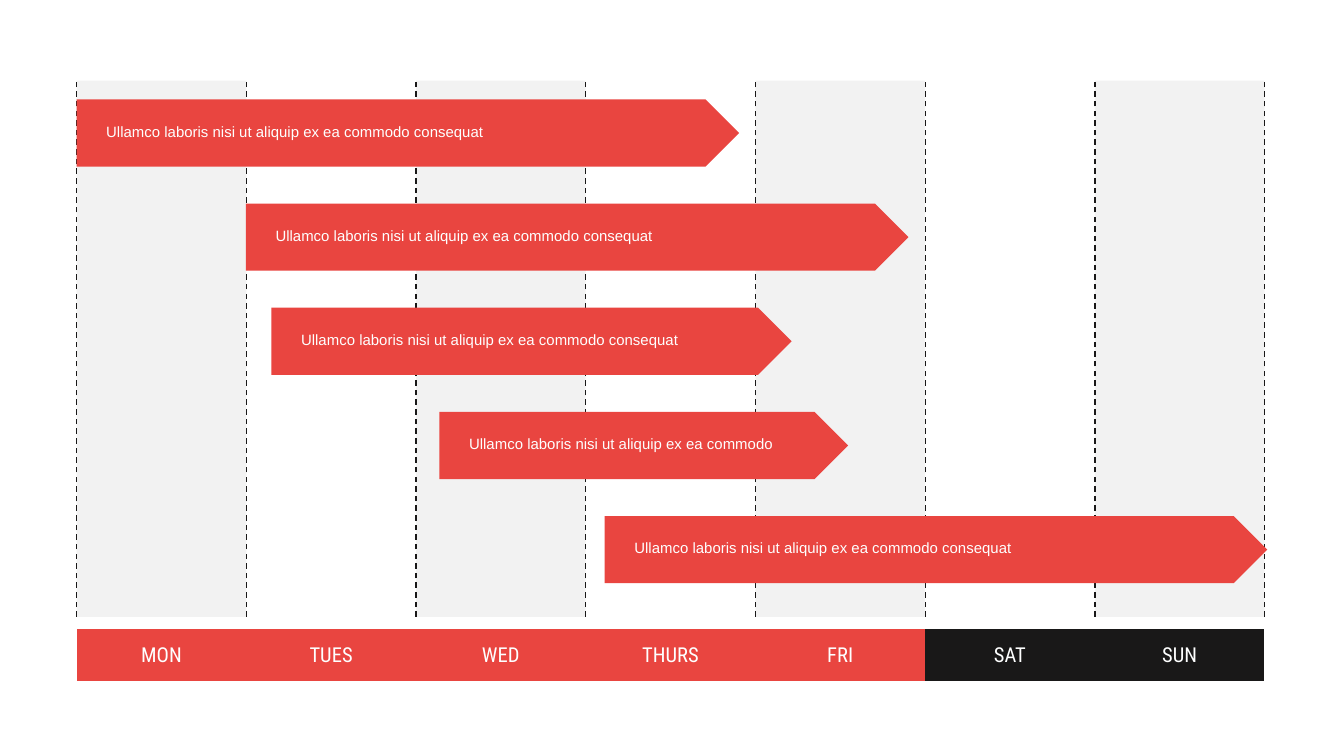
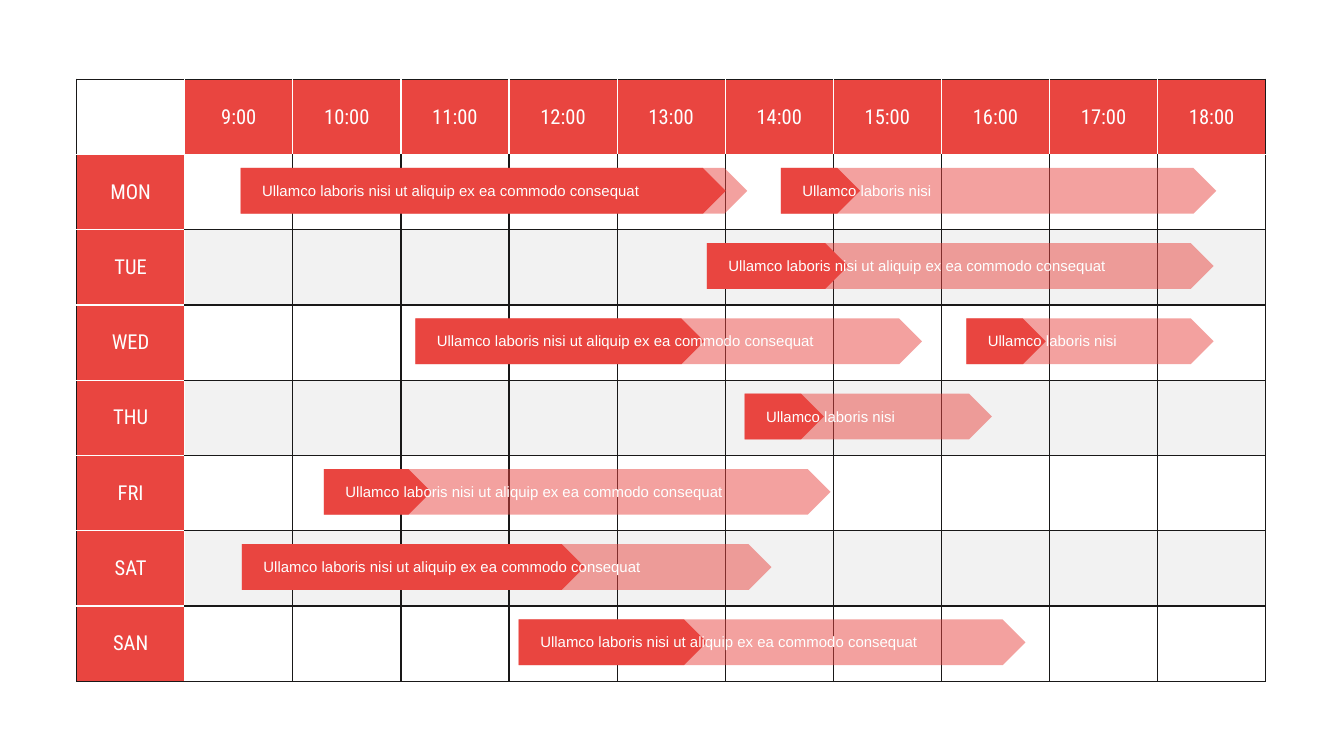
"""Build two weekly schedule slides: a day plan and an hour plan."""
import lxml.etree
import pptx
import pptx.dml.color
import pptx.enum.dml
import pptx.enum.shapes
import pptx.enum.text
import pptx.oxml.ns
import pptx.util

Inches = pptx.util.Inches
Pt = pptx.util.Pt
RGB = pptx.dml.color.RGBColor.from_string
Shape = pptx.enum.shapes.MSO_SHAPE
Align = pptx.enum.text.PP_ALIGN
Anchor = pptx.enum.text.MSO_ANCHOR
qn = pptx.oxml.ns.qn


class Theme:
    red = "E94540"
    ink = "191818"
    white = "FEFFFF"
    grey = "E7E7E7"
    half = 50
    head = "Roboto Condensed"
    body = "Arial"
    big = 11
    small = 8
    line = 0.75
    plain = "{2D5ABB26-0587-4C30-8999-92F81FD0307C}"


def paint(fill, tone, alpha=100):
    if tone is None:
        fill.background()
        return
    fill.solid()
    fill.fore_color.rgb = RGB(tone)
    if alpha < 100:
        node = fill._xPr.find(qn("a:solidFill"))[0]
        lxml.etree.SubElement(node, qn("a:alpha"), val=str(alpha * 1000))


def write(box, text, size=Theme.small, font=Theme.body, align=Align.LEFT, anchor=Anchor.TOP):
    frame = box.text_frame
    host = box if hasattr(box, "margin_left") else frame
    host.margin_left = host.margin_right = Inches(0.04)
    host.margin_top = host.margin_bottom = Inches(0.02)
    host.vertical_anchor = anchor
    para = frame.paragraphs[0]
    para.alignment = align
    run = para.add_run()
    run.text = text
    run.font.size = Pt(size)
    run.font.name = font
    run.font.color.rgb = RGB(Theme.white)


deck = pptx.Presentation()
deck.slide_width = Inches(10)
deck.slide_height = Inches(10) * 9 // 16
week, hours = [deck.slides.add_slide(deck.slide_layouts[6]) for _ in range(2)]

left, wide = 0.57, 8.84
top, base = 0.6, 4.59
step = wide / 7

for day in range(6, -1, -2):
    band = week.shapes.add_shape(
        Shape.RECTANGLE, Inches(left + day * step), Inches(top), Inches(step), Inches(base - top))
    band.shadow.inherit = False
    band.line.fill.background()
    paint(band.fill, Theme.grey, Theme.half)

days = ["MON", "TUES", "WED", "THURS", "FRI", "SAT", "SUN"]
strip = [[(day, Theme.ink if day[0] == "S" else Theme.red) for day in days]]
plan = [[("", None)] + [(f"{hour}:00", Theme.red) for hour in range(9, 19)]]
for row, day in enumerate(["MON", "TUE", "WED", "THU", "FRI", "SAT", "SAN"]):
    plan.append([(day, Theme.red)] + [("", Theme.grey if row % 2 else None)] * 10)

for page, grid, y, span, high in [(week, strip, 4.68, 8.84, 0.39), (hours, plan, 0.59, 8.85, 0.56)]:
    rows, cols = len(grid), len(grid[0])
    table = page.shapes.add_table(
        rows, cols, Inches(left), Inches(y), Inches(span), Inches(high * rows)).table
    table.first_row = table.horz_banding = False
    table._tbl.tblPr.find(qn("a:tableStyleId")).text = Theme.plain
    for col in table.columns:
        col.width = Inches(span / cols)
    for r, line in enumerate(grid):
        table.rows[r].height = Inches(high)
        for c, (text, tone) in enumerate(line):
            cell = table.cell(r, c)
            paint(cell.fill, tone, Theme.half if tone == Theme.grey else 100)
            if text:
                write(cell, text, size=Theme.big, font=Theme.head,
                      align=Align.CENTER, anchor=Anchor.MIDDLE)
            if page is week:
                continue
            head = r == 0 or c == 0
            light = {
                "L": c > 0 and (head or c == 1),
                "R": c < cols - 1 and head,
                "T": r > 0 and (head or r == 1),
                "B": r < rows - 1 and head,
            }
            for at, (side, pale) in enumerate(light.items()):
                edge = lxml.etree.Element(qn(f"a:ln{side}"), w=str(Pt(Theme.line)))
                solid = lxml.etree.SubElement(edge, qn("a:solidFill"))
                lxml.etree.SubElement(
                    solid, qn("a:srgbClr"), val=Theme.white if pale else Theme.ink)
                cell._tc.tcPr.insert(at, edge)

for day in range(8):
    x = Inches(left + day * step)
    rule = week.shapes.add_connector(
        pptx.enum.shapes.MSO_CONNECTOR.STRAIGHT, x, Inches(base), x, Inches(top))
    rule.line.color.rgb = RGB(Theme.ink)
    rule.line.width = Pt(Theme.line)
    rule.line.dash_style = pptx.enum.dml.MSO_LINE.DASH
    lxml.etree.SubElement(rule._element.spPr, qn("a:effectLst"))

short = "Ullamco laboris nisi"
mid = short + " ut aliquip ex ea commodo"
full = mid + " consequat"

tasks = [
    (0, 0.57, 4.93, full),
    (1, 1.83, 4.93, full),
    (2, 2.02, 3.87, full),
    (3, 3.27, 3.04, mid),
    (4, 4.5, 4.93, full),
]
slots = [
    (1, 5.26, 3.77, 1.05, full),
    (0, 1.79, 3.77, 3.61, full),
    (5, 1.8, 3.94, 2.55, full),
    (6, 3.86, 3.77, 1.4, full),
    (2, 3.09, 3.77, 2.15, full),
    (2, 7.19, 1.84, 0.59, short),
    (0, 5.81, 3.24, 0.59, short),
    (4, 2.41, 3.77, 0.8, full),
    (3, 5.54, 1.84, 0.59, short),
]
bars = [(week, x, 0.74 + 3.1 * row / 4, 0.5, 0.18, 0.15, [(span, 100)], text)
        for row, x, span, text in tasks]
bars += [(hours, x, 1.25 + 0.56 * row, 0.34, 0.12, 0.08,
          [(span, Theme.half), (done, 100)], text)
         for row, x, span, done, text in slots]

for page, x, y, high, pad, drop, parts, text in bars:
    group = page.shapes.add_group_shape()
    for span, alpha in parts:
        bar = group.shapes.add_shape(
            Shape.PENTAGON, Inches(x), Inches(y), Inches(span), Inches(high))
        bar.adjustments[0] = 0.5
        bar.shadow.inherit = False
        bar.line.fill.background()
        paint(bar.fill, Theme.red, alpha)
    label = group.shapes.add_textbox(
        Inches(x + pad), Inches(y + drop),
        Inches(1.43 if text == short else 3.11), Inches(0.18))
    label.text_frame.word_wrap = True
    write(label, text)

deck.save("out.pptx")
